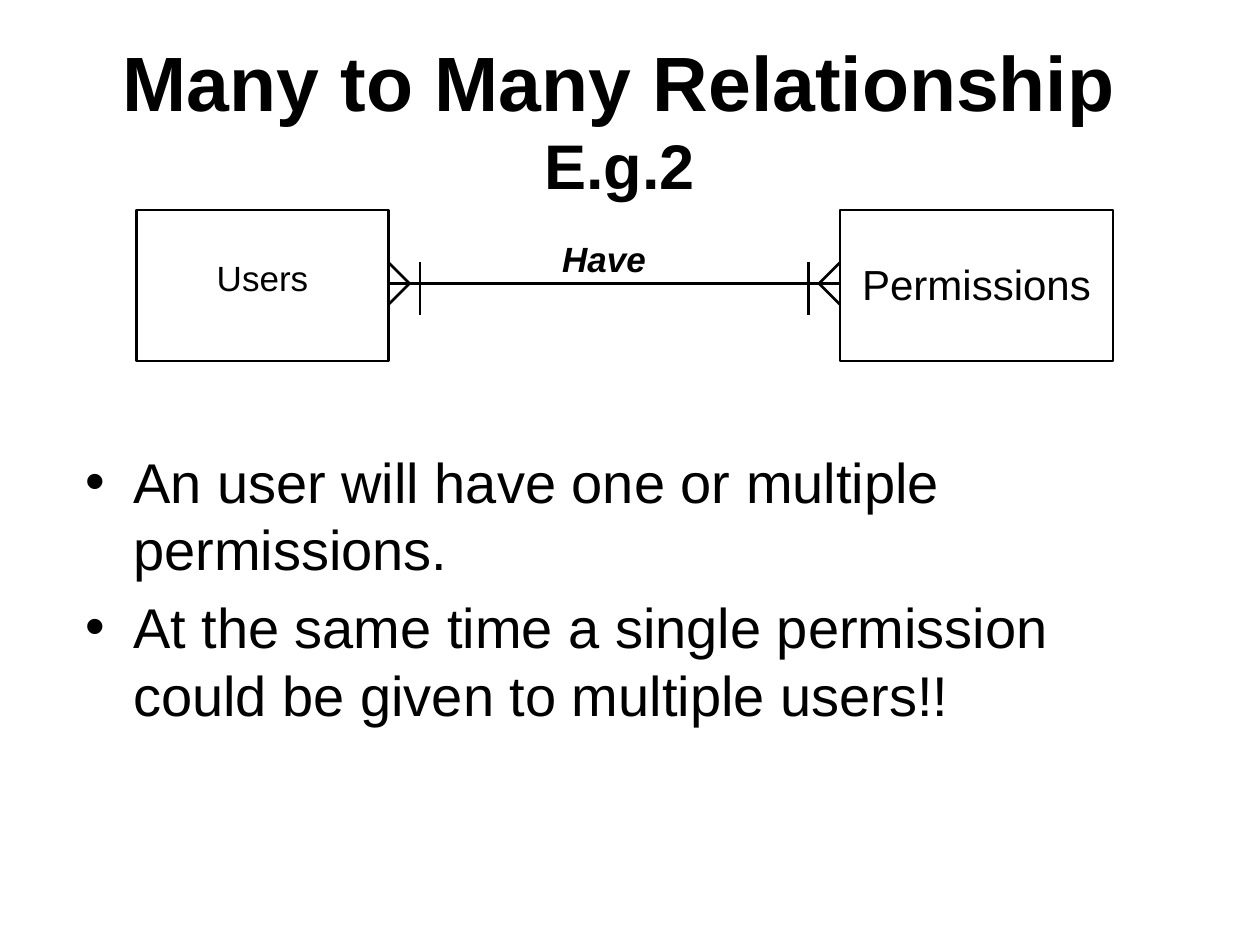
from lxml.etree import SubElement
from pptx import Presentation
from pptx.dml.color import RGBColor
from pptx.enum.shapes import MSO_CONNECTOR as Connector, MSO_SHAPE as Shape
from pptx.enum.text import MSO_ANCHOR as Anchor, PP_ALIGN as Align
from pptx.oxml.ns import qn
from pptx.util import Pt

PX = 7620
COLORS = {"ink": "000000", "paper": "FFFFFF"}
FONT = "Arial"


def color(name):
    """Return the named colour."""
    return RGBColor.from_string(COLORS[name])


def text_frame(slide, left, top, width, height, anchor=Anchor.TOP):
    """Add a wrapping text box and return its frame."""
    frame = slide.shapes.add_textbox(left * PX, top * PX, width * PX, height * PX).text_frame
    frame.word_wrap = True
    frame.vertical_anchor = anchor
    return frame


def add_run(paragraph, text, size, bold=False, italic=False):
    """Append a styled run."""
    run = paragraph.add_run()
    run.text = text
    font = run.font
    font.name, font.size, font.bold, font.italic = FONT, Pt(size), bold, italic
    font.color.rgb = color("ink")


def add_label(slide, box, text, size, **style):
    """Add one centred line of text."""
    paragraph = text_frame(slide, *box).paragraphs[0]
    paragraph.alignment = Align.CENTER
    add_run(paragraph, text, size, **style)


def add_line(slide, x1, y1, x2, y2):
    """Draw a straight line without a shadow."""
    line = slide.shapes.add_connector(Connector.STRAIGHT, x1 * PX, y1 * PX, x2 * PX, y2 * PX)
    line.line.color.rgb = color("ink")
    line.line.width = Pt(1.5)
    SubElement(line._element.spPr, qn("a:effectLst"))


def add_title(slide, left, top, width, height):
    """Write the two-line heading."""
    heading = text_frame(slide, left, top, width, height, Anchor.MIDDLE).paragraphs[0]
    heading.alignment = Align.CENTER
    add_run(heading, "Many to Many Relationship", 44, bold=True)
    heading.add_line_break()
    add_run(heading, "E.g.2", 36, bold=True)


def add_entity(slide, left, top, width, height, name, size, inset, drop):
    """Draw an entity rectangle with its name."""
    entity = slide.shapes.add_shape(Shape.RECTANGLE, left * PX, top * PX, width * PX, height * PX)
    entity.shadow.inherit = False
    entity.fill.solid()
    entity.fill.fore_color.rgb = color("paper")
    entity.line.color.rgb = color("ink")
    entity.line.width = Pt(1.5)
    add_label(slide, (left + inset, top + drop, width - 2 * inset, size * 2 + 12), name, size)


def add_crow_foot(slide, edge, middle, direction):
    """Mark one-or-many where the relationship meets an entity edge."""
    bar, tip = edge + 30 * direction, edge + 20 * direction
    add_line(slide, bar, middle - 20, bar, middle + 30)
    for spread in (-20, 20):
        add_line(slide, edge, middle + spread, tip, middle)


def add_diagram(slide, left, top, width, height):
    """Draw both entities and the relationship between them."""
    users_width, permissions_width = 240, 260
    start, end = left + users_width, left + width - permissions_width
    middle = top + 70
    add_entity(slide, left, top, users_width, height, "Users", 20, 10, 38)
    add_entity(slide, end, top, permissions_width, height, "Permissions", 24, 0, 40)
    add_line(slide, start, middle, end, middle)
    add_label(slide, (start + 20, top + 20, 380, 52), "Have ", 20, bold=True, italic=True)
    add_crow_foot(slide, start, middle, 1)
    add_crow_foot(slide, end, middle, -1)


def add_explanation(slide, left, top, width, height):
    """Write the bulleted explanation."""
    points = (
        "An user will have one or multiple permissions.",
        "At the same time a single permission could be given to multiple users!!",
    )
    frame = text_frame(slide, left, top, width, height)
    for index, point in enumerate(points):
        paragraph = frame.add_paragraph() if index else frame.paragraphs[0]
        paragraph.space_before = Pt(6.4)
        properties = paragraph._p.get_or_add_pPr()
        properties.set("marL", str(45 * PX))
        properties.set("indent", str(-45 * PX))
        SubElement(properties, qn("a:buFont"), typeface=FONT)
        SubElement(properties, qn("a:buChar"), char="•")
        add_run(paragraph, point, 32)


def main():
    """Build and save the slide."""
    presentation = Presentation()
    presentation.slide_width, presentation.slide_height = 1200 * PX, 900 * PX
    slide = presentation.slides.add_slide(presentation.slide_layouts[6])
    add_title(slide, 80, 40, 1020, 146)
    add_diagram(slide, 130, 200, 930, 144)
    add_explanation(slide, 70, 420, 1080, 360)
    presentation.save("out.pptx")


if __name__ == "__main__":
    main()
